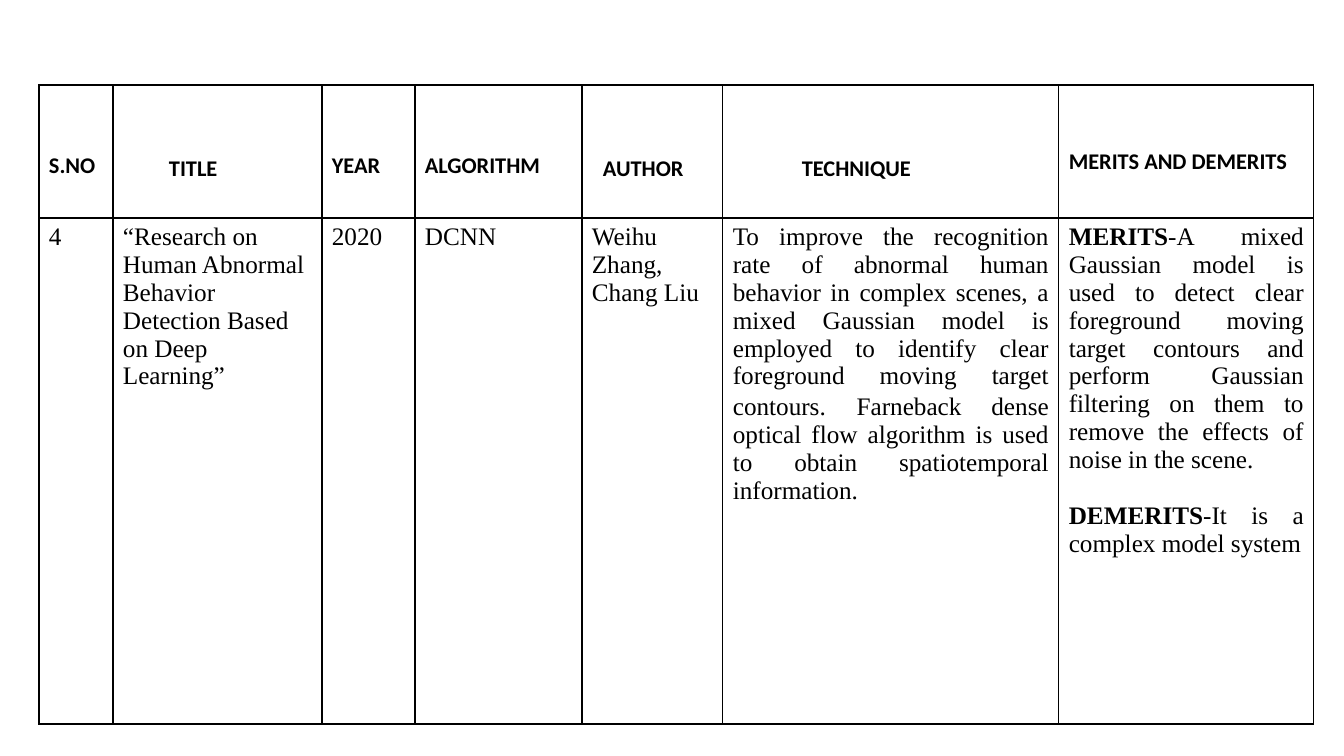
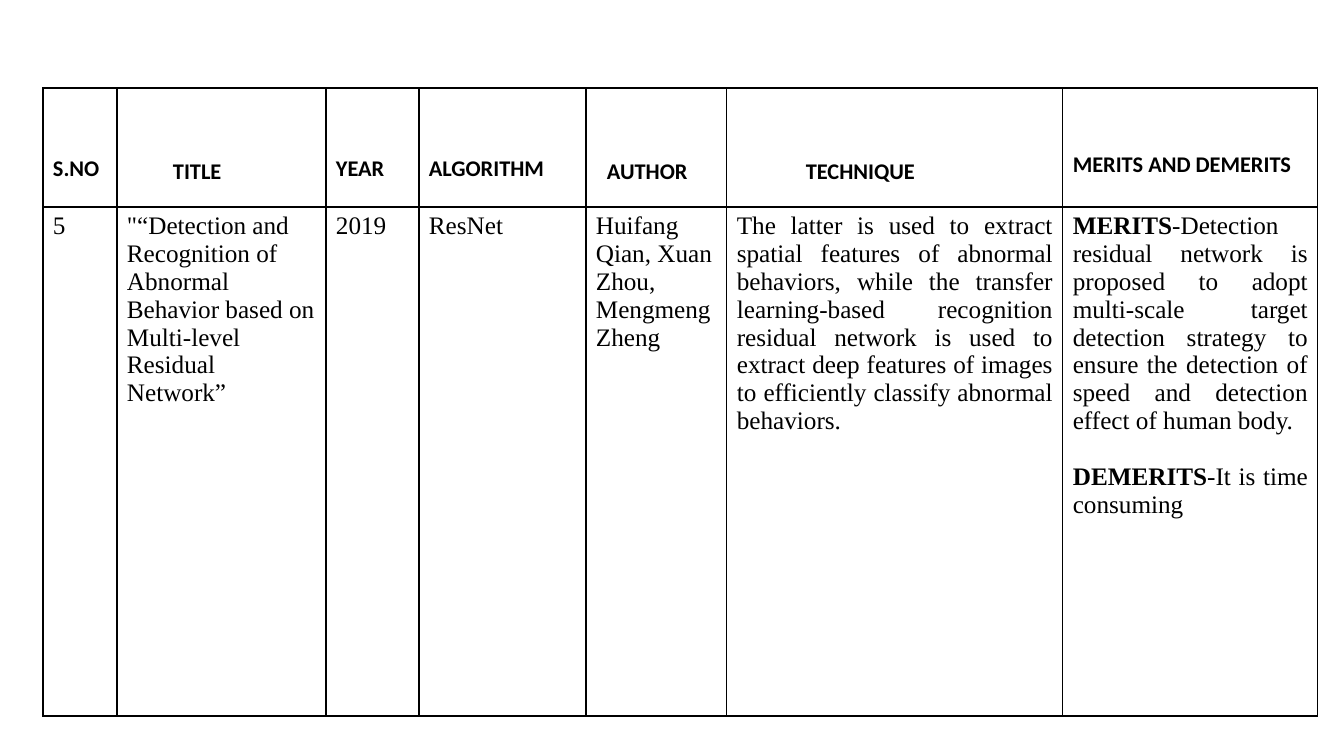
import pptx
import pptx.util
import pptx.dml.color
import pptx.enum.text
import pptx.oxml
import pptx.oxml.ns

BLACK = pptx.dml.color.RGBColor(0, 0, 0)
WHITE = pptx.dml.color.RGBColor(255, 255, 255)
HEADER_FONT, HEADER_SIZE = "Calibri", 16
BODY_FONT, BODY_SIZE = "Times New Roman", 18
JUSTIFY = pptx.enum.text.PP_ALIGN.JUSTIFY
PARAGRAPH_GAP = 20

# Column heading, width, left inset and top inset of the heading (px)
COLUMNS = [
    ("S.NO", 74, 10, 67),
    ("TITLE", 209, 56, 70),
    ("YEAR", 93, 10, 67),
    ("ALGORITHM", 167, 10, 67),
    ("AUTHOR", 141, 21, 70),
    ("TECHNIQUE", 336, 79, 70),
    ("MERITS AND DEMERITS", 255, 10, 63),
]
JUSTIFIED_FROM = 5

# Each cell is a list of paragraphs, each paragraph a list of (text, bold, size)
PAPERS = [
    {
        "corner": (39, 85),
        "rows": (133, 506),
        "cells": [
            [[("4", False, BODY_SIZE)]],
            [[("“Research on Human Abnormal Behavior Detection Based on Deep Learning”",
               False, BODY_SIZE)]],
            [[("2020", False, BODY_SIZE)]],
            [[("DCNN", False, BODY_SIZE)]],
            [[("Weihu Zhang, Chang Liu", False, BODY_SIZE)]],
            [[("To improve the recognition rate of abnormal human behavior in complex "
               "scenes, a mixed Gaussian model is employed to identify clear foreground "
               "moving target contours.", False, BODY_SIZE),
              (" ", False, 20),
              ("Farneback dense optical flow algorithm is used to obtain "
               "spatiotemporal information.", False, BODY_SIZE)]],
            [[("MERITS", True, BODY_SIZE),
              ("-A mixed Gaussian model is used to detect clear foreground moving "
               "target contours and perform Gaussian filtering on them to remove the "
               "effects of noise in the scene.", False, BODY_SIZE)],
             [("DEMERITS", True, BODY_SIZE),
              ("-It is a complex model system", False, BODY_SIZE)]],
        ],
    },
    {
        "corner": (43, 88),
        "rows": (119, 509),
        "cells": [
            [[("5", False, BODY_SIZE)]],
            [[("\"“Detection and Recognition of Abnormal Behavior based on Multi-level "
               "Residual Network”", False, BODY_SIZE)]],
            [[("2019", False, BODY_SIZE)]],
            [[("ResNet", False, BODY_SIZE)]],
            [[("Huifang Qian, Xuan Zhou, Mengmeng Zheng", False, BODY_SIZE)]],
            [[("The latter is used to extract spatial features of abnormal behaviors, "
               "while the transfer learning-based recognition residual network is used "
               "to extract deep features of images to efficiently classify abnormal "
               "behaviors.", False, BODY_SIZE)]],
            [[("MERITS", True, BODY_SIZE),
              ("-Detection residual network is proposed to adopt multi-scale target "
               "detection strategy to ensure the detection of speed and detection "
               "effect of human body.", False, BODY_SIZE)],
             [("DEMERITS", True, BODY_SIZE),
              ("-It is time consuming", False, BODY_SIZE)]],
        ],
    },
]


def px(length):
    return pptx.util.Emu(round(length * 914400 / 100.8))


def style_cell(cell, left=10, top=5):
    """White fill, insets and a thin black border on all four sides."""
    cell.fill.solid()
    cell.fill.fore_color.rgb = WHITE
    cell.margin_left, cell.margin_right = px(left), px(10)
    cell.margin_top, cell.margin_bottom = px(top), px(5)
    properties = cell._tc.get_or_add_tcPr()
    for position, side in enumerate(("lnL", "lnR", "lnT", "lnB")):
        properties.insert(position, pptx.oxml.parse_xml(
            f'<a:{side} {pptx.oxml.ns.nsdecls("a")} w="12700">'
            f'<a:solidFill><a:srgbClr val="{BLACK}"/></a:solidFill></a:{side}>'))


def write_cell(cell, paragraphs, font, alignment=None):
    frame = cell.text_frame
    for index, spans in enumerate(paragraphs):
        para = frame.add_paragraph() if index else frame.paragraphs[0]
        para.alignment = alignment
        if index:
            para.space_before = pptx.util.Pt(PARAGRAPH_GAP)
        for text, bold, size in spans:
            span = para.add_run()
            span.text = text
            span.font.name = font
            span.font.size = pptx.util.Pt(size)
            span.font.bold = bold
            span.font.color.rgb = BLACK


def add_paper_page(deck, paper):
    page = deck.slides.add_slide(deck.slide_layouts[6])
    left, top = paper["corner"]
    width = sum(column[1] for column in COLUMNS)
    table = page.shapes.add_table(2, len(COLUMNS), px(left), px(top),
                                  px(width), px(sum(paper["rows"]))).table
    table.first_row = table.horz_banding = False
    for row, height in zip(table.rows, paper["rows"]):
        row.height = px(height)

    for index, (heading, column_width, inset, drop) in enumerate(COLUMNS):
        table.columns[index].width = px(column_width)
        # Heading row
        header = table.cell(0, index)
        style_cell(header, inset, drop)
        write_cell(header, [[(heading, True, HEADER_SIZE)]], HEADER_FONT)
        # Paper row
        body = table.cell(1, index)
        style_cell(body)
        write_cell(body, paper["cells"][index], BODY_FONT,
                   JUSTIFY if index >= JUSTIFIED_FROM else None)


def main():
    deck = pptx.Presentation()
    deck.slide_width, deck.slide_height = px(1344), px(756)
    for paper in PAPERS:
        add_paper_page(deck, paper)
    deck.save("out.pptx")


if __name__ == "__main__":
    main()
